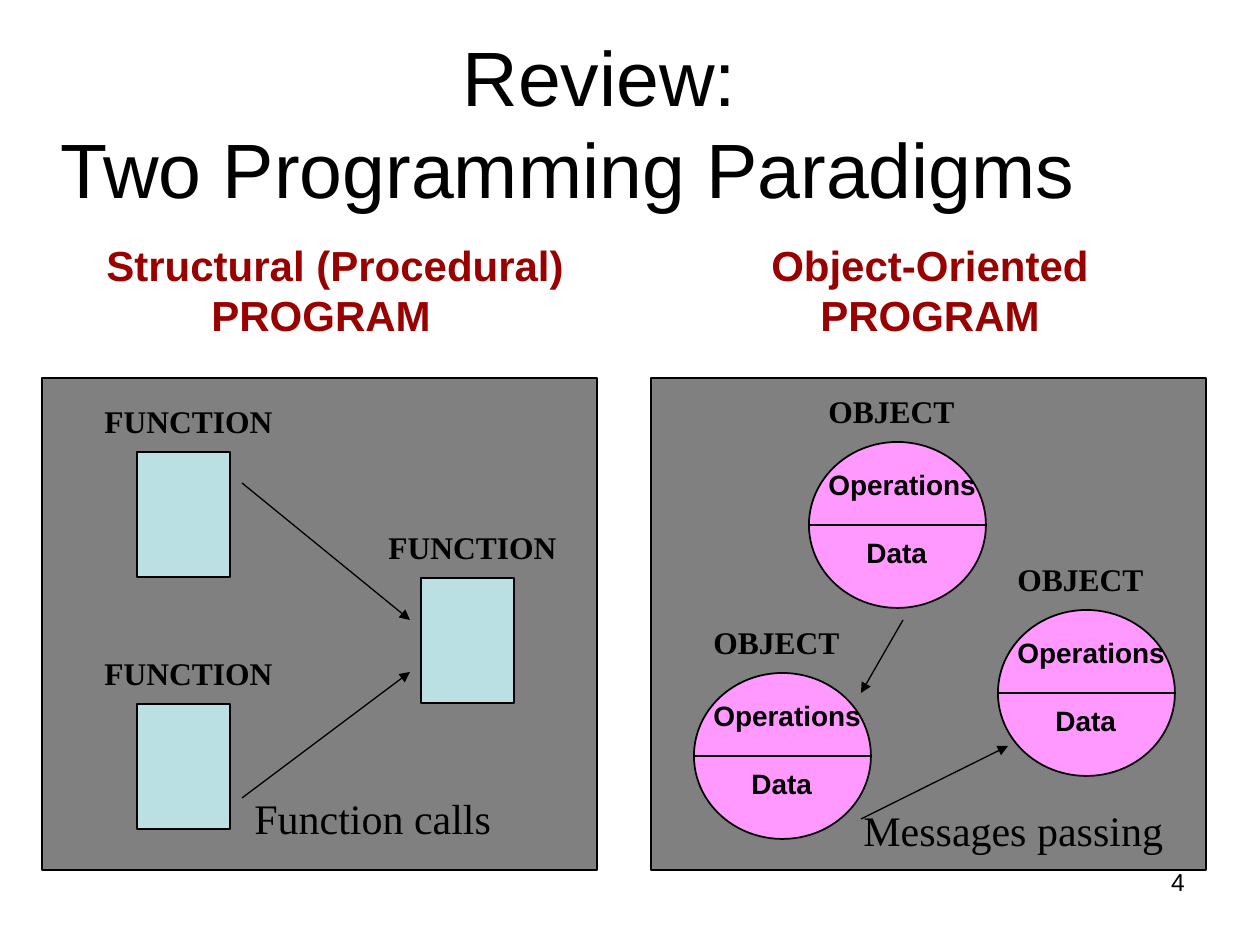
from lxml import etree
from pptx import Presentation
from pptx import util as u
from pptx.dml.color import RGBColor
from pptx.enum import shapes, text
from pptx.oxml.ns import qn

BLACK = RGBColor(0x00, 0x00, 0x00)
RED = RGBColor(0x99, 0x00, 0x00)
GREY = RGBColor(0x80, 0x80, 0x80)
TEAL = RGBColor(0xBB, 0xE0, 0xE3)
PINK = RGBColor(0xFF, 0x99, 0xFF)
SERIF = "Times New Roman"
SANS = "Arial"


def px(n):
    return u.Emu(round(n * 914400 / 126))


def add_text(s, box, lines, size, font=SANS, bold=False, color=BLACK,
             align=text.PP_ALIGN.LEFT, anchor=text.MSO_ANCHOR.TOP,
             wrap=True, gap=0):
    tf = s.shapes.add_textbox(*map(px, box)).text_frame
    tf.word_wrap = wrap
    tf.vertical_anchor = anchor
    for i, (line, indent) in enumerate(lines):
        p = tf.paragraphs[0] if i == 0 else tf.add_paragraph()
        p.text = line
        p.alignment = align
        if indent:
            p._p.get_or_add_pPr().set("marL", str(px(indent)))
        if i and gap:
            p.space_before = u.Pt(gap)
        p.font.size = u.Pt(size)
        p.font.name = font
        p.font.bold = bold
        p.font.color.rgb = color


def add_box(s, kind, box, fill):
    sp = s.shapes.add_shape(kind, *map(px, box))
    sp.shadow.inherit = False
    sp.fill.solid()
    sp.fill.fore_color.rgb = fill
    sp.line.color.rgb = BLACK
    sp.line.width = u.Pt(1)


def add_line(s, ends, width, arrow=False):
    c = s.shapes.add_connector(shapes.MSO_CONNECTOR.STRAIGHT, *map(px, ends))
    c.line.color.rgb = BLACK
    c.line.width = u.Pt(width)
    if arrow:
        etree.SubElement(c.line._get_or_add_ln(), qn("a:tailEnd"), type="triangle")
    etree.SubElement(c._element.spPr, qn("a:effectLst"))


def add_panel(s, x):
    add_box(s, shapes.MSO_SHAPE.RECTANGLE, (x, 378, 555, 492), GREY)


def add_label(s, x, y, width, label):
    add_text(s, (x, y, width, 50), [(label, 0)], 18, SERIF, True, wrap=False)


def add_function(s, x, y):
    add_label(s, x - 45, y - 56, 194, "FUNCTION")
    add_box(s, shapes.MSO_SHAPE.RECTANGLE, (x, y, 93, 125), TEAL)


def add_object(s, x, y):
    add_label(s, x + 7, y - 56, 151, "OBJECT")
    add_box(s, shapes.MSO_SHAPE.OVAL, (x, y, 177, 166), PINK)
    add_line(s, (x, y + 83, x + 177, y + 83), 1)
    add_text(s, (x + 7, y + 19, 173, 113), [("Operations", 0), ("Data", 38)],
             16, bold=True, wrap=False, gap=20)


def main():
    prs = Presentation()
    prs.slide_width, prs.slide_height = px(1260), px(945)
    s = prs.slides.add_slide(prs.slide_layouts[6])

    add_text(s, (903, 861, 294, 66), [("4", 0)], 14, align=text.PP_ALIGN.RIGHT)
    add_text(s, (48, 116, 1180, 104),
             [("Review:", 402), ("Two Programming Paradigms", 0)],
             44, anchor=text.MSO_ANCHOR.BOTTOM)
    add_text(s, (94, 233, 520, 113),
             [("Structural (Procedural)", 0), ("PROGRAM", 105)],
             24, bold=True, color=RED)
    add_text(s, (759, 233, 417, 113),
             [("Object-Oriented", 0), ("PROGRAM", 49)],
             24, bold=True, color=RED)

    add_panel(s, 42)
    for x, y in ((137, 452), (421, 578), (137, 704)):
        add_function(s, x, y)

    add_panel(s, 651)
    for x, y in ((998, 610), (694, 673), (809, 442)):
        add_object(s, x, y)

    for ends in ((242, 483, 410, 620), (242, 798, 410, 672),
                 (861, 819, 1008, 746), (903, 620, 861, 693)):
        add_line(s, ends, 0.75, arrow=True)

    add_text(s, (242, 786, 262, 63), [("Function calls", 0)], 24, SERIF)
    add_text(s, (851, 798, 409, 63), [("Messages passing", 0)], 24, SERIF)

    prs.save("out.pptx")


if __name__ == "__main__":
    main()
